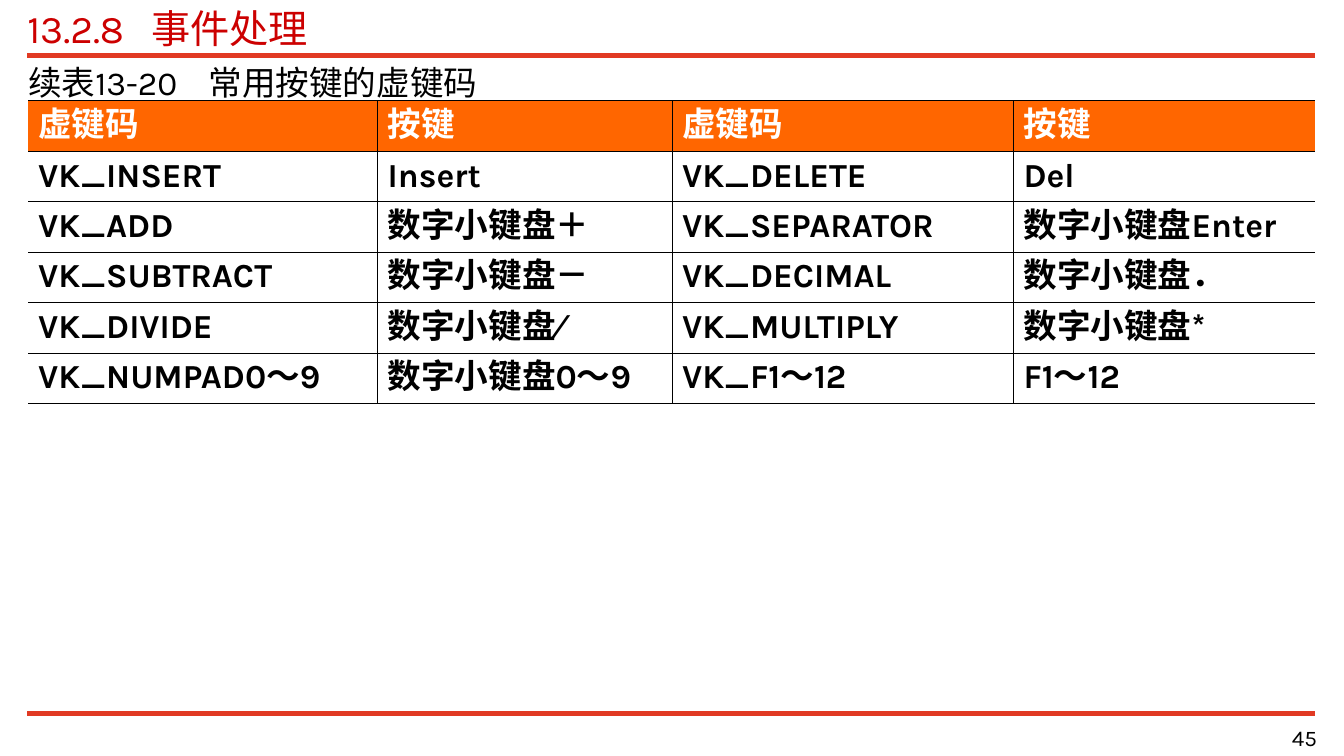
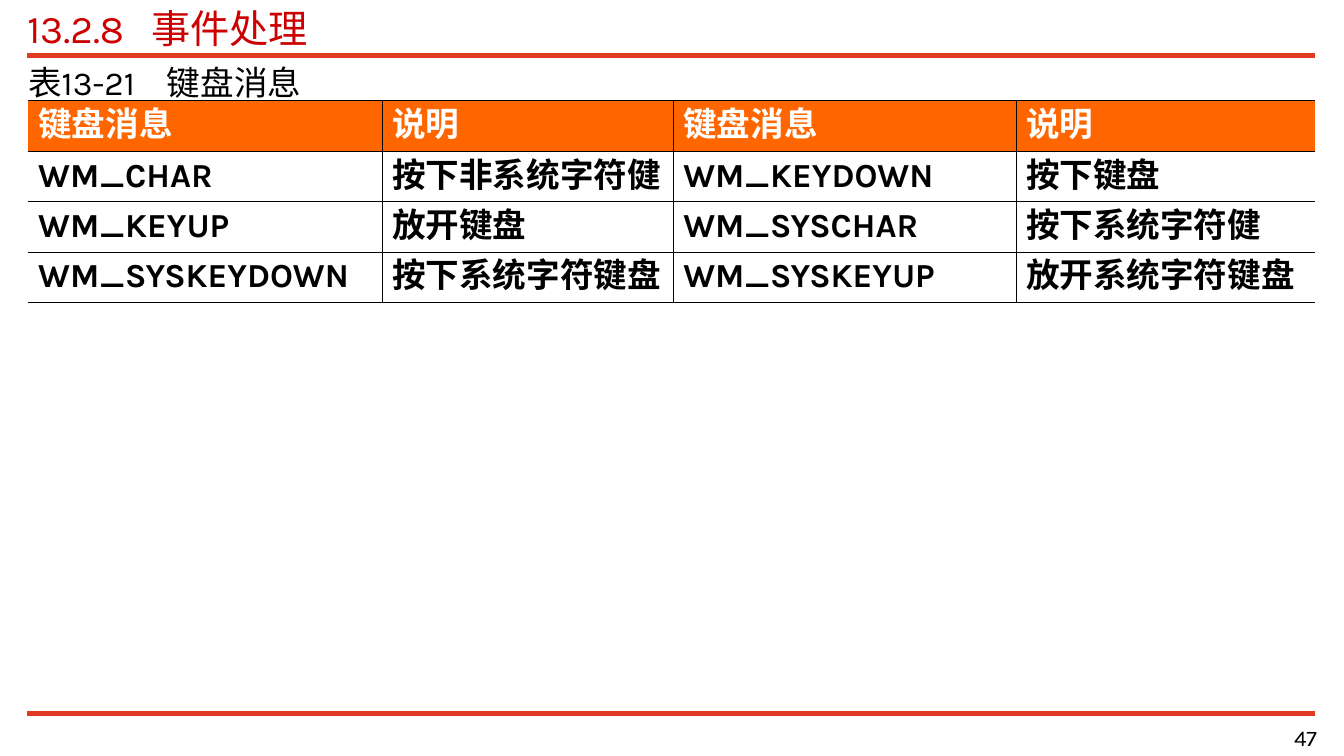
from dataclasses import dataclass
from typing import NamedTuple

from lxml.etree import SubElement
from pptx import Presentation
from pptx.dml.color import RGBColor as Rgb
from pptx.enum.shapes import MSO_CONNECTOR as Connector
from pptx.enum.text import MSO_ANCHOR as Anchor, PP_ALIGN as Align
from pptx.oxml.ns import qn
from pptx.util import Cm, Pt


@dataclass(frozen=True)
class Theme:
    font: str = "Karla"
    rule: str = "E13A23"
    title: str = "CC0000"
    text: str = "000000"
    header_fill: str = "FF6600"
    header_text: str = "FFFFFF"
    border: str = "000000"
    title_size: float = 28
    body_size: float = 24
    number_size: float = 16
    thin: float = 0.45
    thick: float = 0.62


class Box(NamedTuple):
    """Left, top, width and height in centimetres."""
    left: float
    top: float
    width: float
    height: float

    def lengths(self):
        return [Cm(value) for value in self]


THEME = Theme()
PAGE_WIDTH, PAGE_HEIGHT = 33.88, 19.05
TITLE_BOX = Box(0.69, 0.1, 32.46, 1.2)
CAPTION_BOX = Box(0.71, 1.55, 32.46, 1.02)
NUMBER_BOX = Box(26.39, 18.19, 6.81, 0.79)
TABLE_LEFT, TABLE_TOP, ROW_HEIGHT = 0.71, 2.54, 1.27
RULES = [(1.4, 4), (17.98, 3)]

TITLE = "13.2.8\t事件处理"
TITLE_TAB = 3.13

KEY_CODES = [
    ["虚键码", "按键", "虚键码", "按键"],
    ["VK_INSERT", "Insert", "VK_DELETE", "Del"],
    ["VK_ADD", "数字小键盘＋", "VK_SEPARATOR", "数字小键盘Enter"],
    ["VK_SUBTRACT", "数字小键盘－", "VK_DECIMAL", "数字小键盘．"],
    ["VK_DIVIDE", "数字小键盘∕", "VK_MULTIPLY", "数字小键盘*"],
    ["VK_NUMPAD0～9", "数字小键盘0～9", "VK_F1～12", "F1～12"],
]
KEY_MESSAGES = [
    ["键盘消息", "说明", "键盘消息", "说明"],
    ["WM_CHAR", "按下非系统字符健", "WM_KEYDOWN", "按下键盘"],
    ["WM_KEYUP", "放开键盘", "WM_SYSCHAR", "按下系统字符健"],
    ["WM_SYSKEYDOWN", "按下系统字符键盘", "WM_SYSKEYUP", "放开系统字符键盘"],
]


def style_runs(para, size, color, bold=False):
    """Format Latin and East Asian text of a paragraph alike."""
    for span in para.runs:
        font = span.font
        font.name, font.size, font.bold = THEME.font, Pt(size), bold
        font.color.rgb = Rgb.from_string(color)
        SubElement(font._element, qn("a:ea"), typeface=THEME.font)


def add_tab_stop(para, position):
    stops = SubElement(para._p.get_or_add_pPr(), qn("a:tabLst"))
    SubElement(stops, qn("a:tab"), pos=str(Cm(position)), algn="l")


def add_text(page, box, text, size, color, align=Align.LEFT, tab=None):
    frame = page.shapes.add_textbox(*box.lengths()).text_frame
    frame.word_wrap = True
    frame.vertical_anchor = Anchor.MIDDLE
    frame.margin_left = frame.margin_right = Cm(0)
    frame.margin_top = frame.margin_bottom = Cm(0)
    para = frame.paragraphs[0]
    if tab:
        add_tab_stop(para, tab)
    para.text = text
    para.alignment = align
    style_runs(para, size, color)


def add_rule(page, top, weight):
    left, right = TITLE_BOX.left, TITLE_BOX.left + TITLE_BOX.width
    rule = page.shapes.add_connector(
        Connector.STRAIGHT, Cm(left), Cm(top), Cm(right), Cm(top))
    rule.line.color.rgb = Rgb.from_string(THEME.rule)
    rule.line.width = Pt(weight)
    SubElement(rule._element.spPr, qn("a:effectLst"))


def add_frame(page, number):
    """Place the rules, title and page number that every page carries."""
    for top, weight in RULES:
        add_rule(page, top, weight)
    add_text(page, TITLE_BOX, TITLE, THEME.title_size, THEME.title, tab=TITLE_TAB)
    add_text(page, NUMBER_BOX, str(number), THEME.number_size, THEME.text, Align.RIGHT)


def set_borders(cell, **weights):
    """Draw the sides L, R, T and B; a weight of None hides the side."""
    properties = cell._tc.get_or_add_tcPr()
    for side, weight in weights.items():
        line = SubElement(properties, qn(f"a:ln{side}"), w=str(Pt(weight or 0)))
        if weight is None:
            SubElement(line, qn("a:noFill"))
        else:
            fill = SubElement(line, qn("a:solidFill"))
            SubElement(fill, qn("a:srgbClr"), val=THEME.border)


def fill_cell(cell, text, is_header):
    if is_header:
        cell.fill.solid()
        cell.fill.fore_color.rgb = Rgb.from_string(THEME.header_fill)
    else:
        cell.fill.background()
    para = cell.text_frame.paragraphs[0]
    para.text = text
    color = THEME.header_text if is_header else THEME.text
    style_runs(para, THEME.body_size, color, bold=True)


def add_key_table(page, box, widths, rows):
    """Build an open-sided grid with heavier lines around header and foot."""
    last_row, last_column = len(rows) - 1, len(widths) - 1
    table = page.shapes.add_table(len(rows), len(widths), *box.lengths()).table
    table.first_row = table.horz_banding = False
    for column, width in zip(table.columns, widths):
        column.width = Cm(width)
    for y, row in enumerate(rows):
        for x, text in enumerate(row):
            cell = table.cell(y, x)
            set_borders(
                cell,
                L=THEME.thin if x > 0 else None,
                R=THEME.thin if x < last_column else None,
                T=THEME.thick if y <= 1 else THEME.thin,
                B=THEME.thick if y in (0, last_row) else THEME.thin)
            fill_cell(cell, text, is_header=y == 0)


def add_table_page(deck, number, caption, caption_tab, widths, rows):
    page = deck.slides.add_slide(deck.slide_layouts[6])
    add_frame(page, number)
    add_text(page, CAPTION_BOX, caption, THEME.body_size, THEME.text, tab=caption_tab)
    box = Box(TABLE_LEFT, TABLE_TOP, sum(widths), ROW_HEIGHT * len(rows))
    add_key_table(page, box, widths, rows)


def main():
    deck = Presentation()
    deck.slide_width, deck.slide_height = Cm(PAGE_WIDTH), Cm(PAGE_HEIGHT)
    add_table_page(deck, 45, "续表13-20\t常用按键的虚键码", 4.55,
                   [8.81, 7.42, 8.61, 7.6], KEY_CODES)
    add_table_page(deck, 47, "表13-21\t键盘消息", 3.5,
                   [8.92, 7.34, 8.64, 7.54], KEY_MESSAGES)
    deck.save("out.pptx")


if __name__ == "__main__":
    main()
